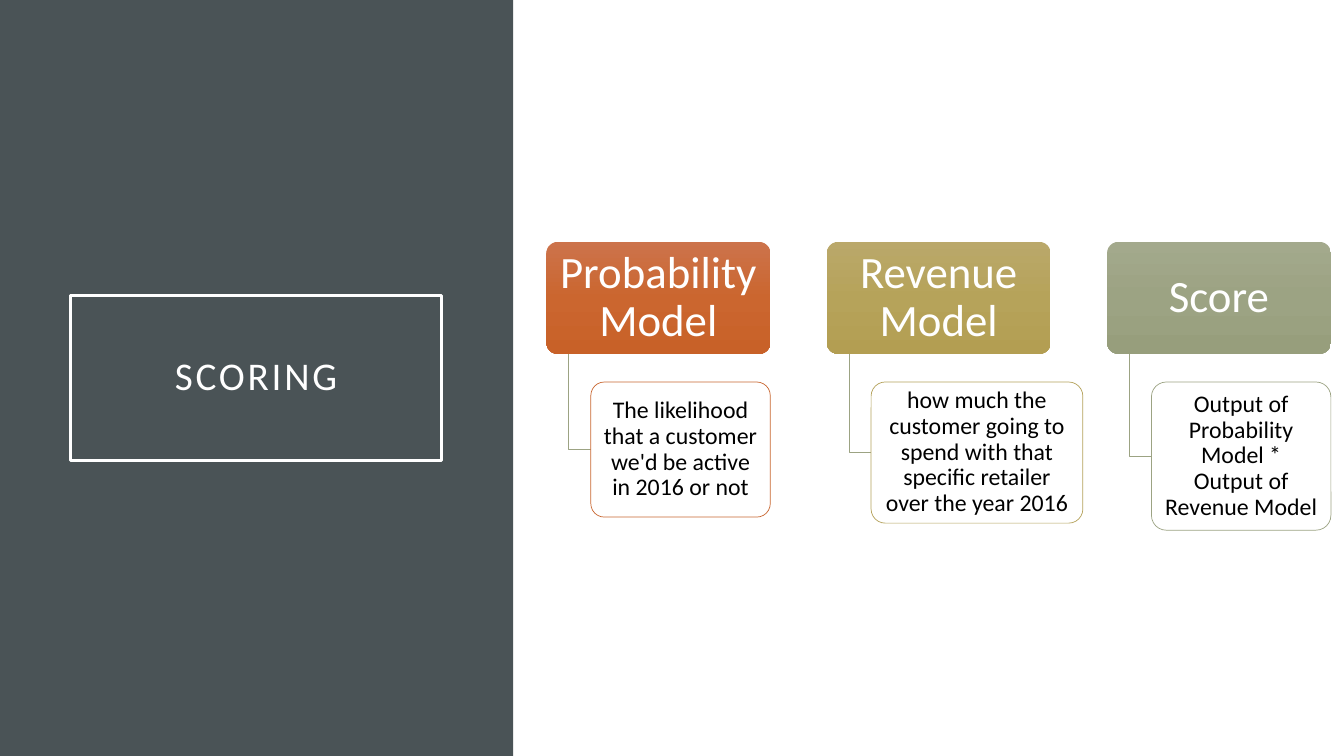
"""Build the scoring slide: a title panel beside three model cards."""
from copy import deepcopy
from dataclasses import dataclass

from pptx import Presentation
from pptx.dml.color import RGBColor
from pptx.enum.shapes import MSO_SHAPE
from pptx.enum.text import MSO_ANCHOR, PP_ALIGN
from pptx.oxml.ns import qn
from pptx.shapes.autoshape import Shape
from pptx.slide import Slide
from pptx.util import Inches, Pt
from lxml.etree import SubElement

FIRST_LEFT, CARD_PITCH = 5.42, 2.78
HEADER_TOP, HEADER_WIDTH, HEADER_HEIGHT = 2.4, 2.22, 1.11
DETAIL_TOP, DETAIL_INDENT, ELBOW_INDENT = 3.79, 0.44, 0.22
ELBOW_COLOR = "9CA383"


@dataclass(frozen=True)
class Card:
    heading: str
    detail: str
    gradient: tuple[str, str, str]
    outline: str
    detail_width: float
    detail_height: float


CARDS = (
    Card("Probability Model", "The likelihood that a customer we'd be active in 2016 or not",
         ("CC734B", "CB662F", "C86128"), "C96731", 1.78, 1.34),
    Card("Revenue Model",
         "how much the customer going to spend with that specific retailer over the year 2016",
         ("BAA86A", "B6A35A", "B39E52"), "B5A25B", 2.1, 1.4),
    Card("Score", "Output of Probability Model * Output of Revenue Model",
         ("A3A98C", "9CA383", "979E7C"), "9CA383", 1.78, 1.47),
)


def color(value: str) -> RGBColor:
    return RGBColor.from_string(value)


def set_attributes(target: object, values: dict[str, object]) -> None:
    for name, value in values.items():
        setattr(target, name, value)


def add_box(slide: Slide, kind: MSO_SHAPE, left: float, top: float,
            width: float, height: float) -> Shape:
    shape = slide.shapes.add_shape(
        kind, Inches(left), Inches(top), Inches(width), Inches(height))
    shape.shadow.inherit = False
    shape.line.fill.background()
    if kind == MSO_SHAPE.ROUNDED_RECTANGLE:
        shape.adjustments[0] = 0.1
    return shape


def set_line(shape: Shape, value: str, width: float) -> None:
    shape.line.color.rgb = color(value)
    shape.line.width = Pt(width)


def set_fill(shape: Shape, value: str) -> None:
    shape.fill.solid()
    shape.fill.fore_color.rgb = color(value)


def set_gradient(shape: Shape, values: tuple[str, str, str]) -> None:
    shape.fill.gradient()
    shape.fill.gradient_angle = 270
    stop_list = shape._element.spPr.find(qn("a:gradFill")).find(qn("a:gsLst"))
    stop_list.insert(1, deepcopy(stop_list[0]))
    for stop, position, value in zip(shape.fill.gradient_stops, (0, 0.5, 1), values):
        stop.color.rgb = color(value)
        stop.position = position


def write(shape: Shape, text: str, size: float, value: str,
          side_margin: float, end_margin: float) -> None:
    frame = shape.text_frame
    set_attributes(frame, {
        "word_wrap": True, "vertical_anchor": MSO_ANCHOR.MIDDLE,
        "margin_left": Inches(side_margin), "margin_right": Inches(side_margin),
        "margin_top": Inches(end_margin), "margin_bottom": Inches(end_margin)})
    paragraph = frame.paragraphs[0]
    set_attributes(paragraph, {"alignment": PP_ALIGN.CENTER, "line_spacing": 0.9})
    run = paragraph.add_run()
    run.text = text
    set_attributes(run.font, {"name": "Calibri", "size": Pt(size)})
    run.font.color.rgb = color(value)


def add_title(slide: Slide) -> None:
    panel = add_box(slide, MSO_SHAPE.RECTANGLE, 0, 0, 5.09, 7.5)
    set_fill(panel, "4A5356")
    title = add_box(slide, MSO_SHAPE.RECTANGLE, 0.7, 2.93, 3.68, 1.64)
    title.fill.background()
    set_line(title, "FFFFFF", 2.5)
    write(title, "SCORING", 28, "FFFFFF", 0.2, 0.2)
    title.text_frame.paragraphs[0].runs[0].font._element.set("spc", "200")


def add_elbow(slide: Slide, left: float, right: float, top: float, bottom: float) -> None:
    builder = slide.shapes.build_freeform(Inches(left), Inches(top))
    builder.add_line_segments(
        [(Inches(left), Inches(bottom)), (Inches(right), Inches(bottom))], close=False)
    elbow = builder.convert_to_shape()
    elbow.shadow.inherit = False
    elbow.fill.background()
    set_line(elbow, ELBOW_COLOR, 0.5)


def add_card(slide: Slide, card: Card, left: float) -> None:
    header = add_box(slide, MSO_SHAPE.ROUNDED_RECTANGLE,
                     left, HEADER_TOP, HEADER_WIDTH, HEADER_HEIGHT)
    set_gradient(header, card.gradient)
    write(header, card.heading, 32, "FFFFFF", 0.1, 0.07)
    detail_left = left + DETAIL_INDENT
    add_elbow(slide, left + ELBOW_INDENT, detail_left,
              HEADER_TOP + HEADER_HEIGHT, DETAIL_TOP + card.detail_height / 2)
    detail = add_box(slide, MSO_SHAPE.ROUNDED_RECTANGLE,
                     detail_left, DETAIL_TOP, card.detail_width, card.detail_height)
    set_fill(detail, "FFFFFF")
    fill_color = detail._element.spPr.find(qn("a:solidFill"))[0]
    SubElement(fill_color, qn("a:alpha")).set("val", "90000")
    set_line(detail, card.outline, 0.5)
    write(detail, card.detail, 17, "000000", 0.08, 0.06)


def main() -> None:
    presentation = Presentation()
    set_attributes(presentation, {"slide_width": Inches(13.33), "slide_height": Inches(7.5)})
    slide = presentation.slides.add_slide(presentation.slide_layouts[6])
    add_title(slide)
    for index, card in enumerate(CARDS):
        add_card(slide, card, FIRST_LEFT + index * CARD_PITCH)
    presentation.save("out.pptx")


if __name__ == "__main__":
    main()
